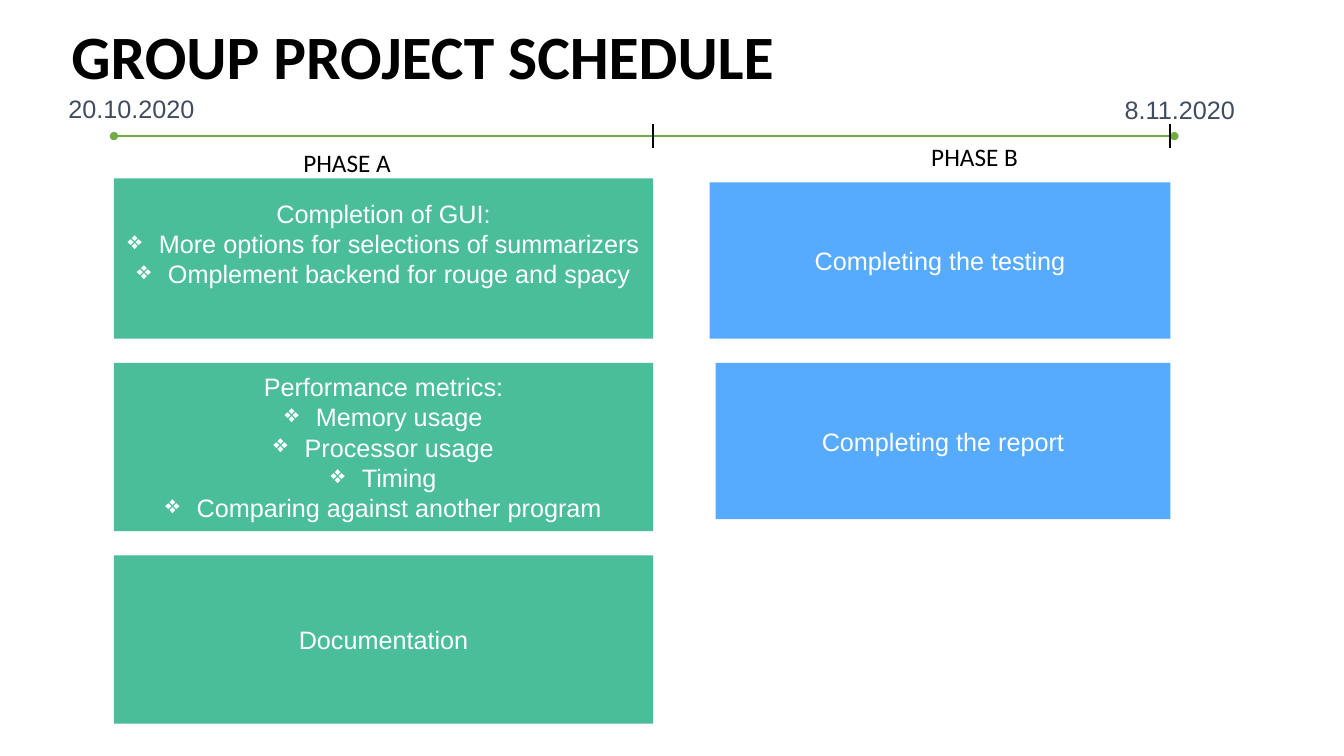
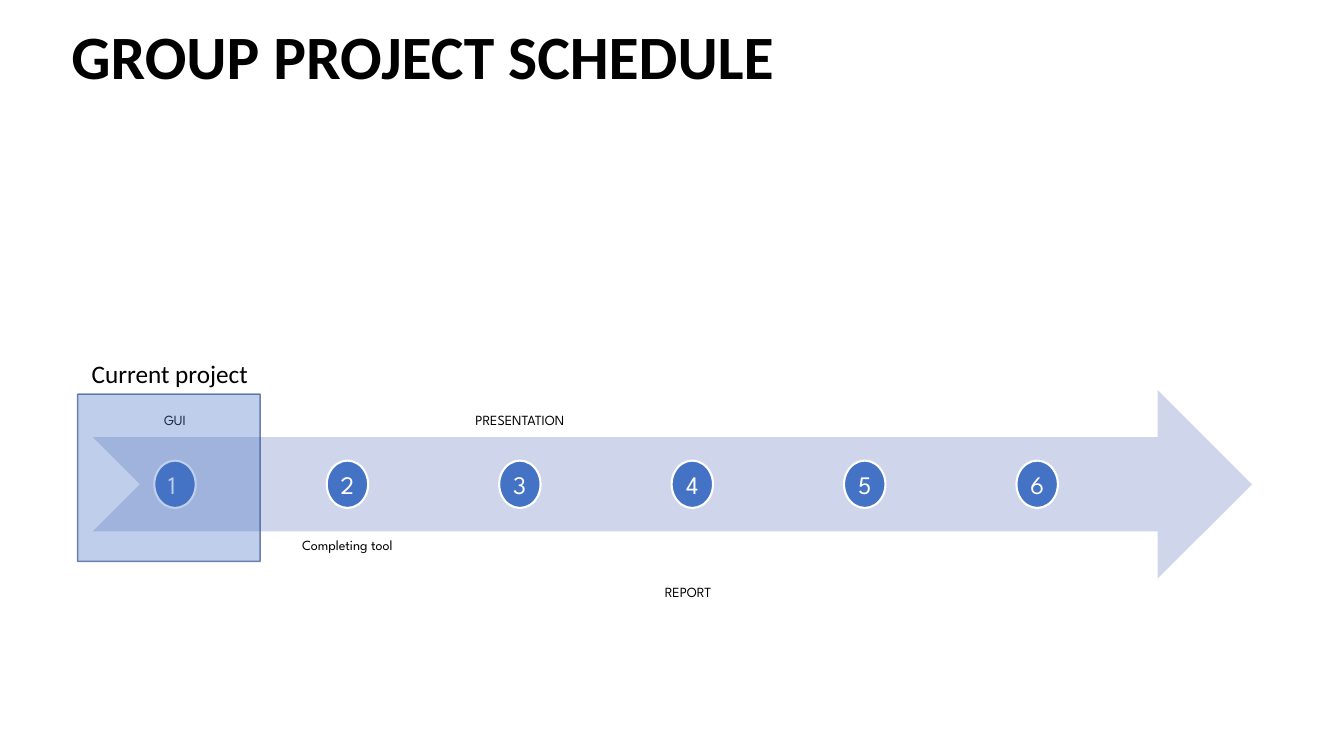
"""Build two project schedule slides: a two-phase timeline and a milestone arrow."""
from lxml import etree
from pptx import Presentation
from pptx.dml.color import RGBColor
from pptx.enum.shapes import MSO_CONNECTOR, MSO_SHAPE
from pptx.enum.text import MSO_ANCHOR, PP_ALIGN
from pptx.oxml.ns import qn
from pptx.util import Emu, Inches, Pt

RECT, OVAL, ARROW = MSO_SHAPE.RECTANGLE, MSO_SHAPE.OVAL, MSO_SHAPE.NOTCHED_RIGHT_ARROW
STRAIGHT = MSO_CONNECTOR.STRAIGHT
TOP, MIDDLE, BOTTOM = MSO_ANCHOR.TOP, MSO_ANCHOR.MIDDLE, MSO_ANCHOR.BOTTOM
LEFT, CENTER = PP_ALIGN.LEFT, PP_ALIGN.CENTER

BLACK = RGBColor(0x00, 0x00, 0x00)
WHITE = RGBColor(0xFF, 0xFF, 0xFF)
SLATE = RGBColor(0x40, 0x4C, 0x5F)
GREEN = RGBColor(0x2B, 0xB2, 0x88)
SKY = RGBColor(0x3A, 0x9D, 0xFF)
OLIVE = RGBColor(0x70, 0xAD, 0x47)
PALE = RGBColor(0xCF, 0xD5, 0xEA)
BLUE = RGBColor(0x44, 0x72, 0xC4)
NAVY = RGBColor(0x32, 0x54, 0x91)

TITLE = {"name": "Calibri", "size": Pt(44), "bold": True}
CAPTION = {"name": "Calibri", "size": Pt(18)}
BODY = {"name": "Arial", "size": Pt(18)}
NUMBER = {"name": "League Spartan", "size": Pt(18)}
LABEL = {"name": "League Spartan", "size": Pt(10)}

prs = Presentation()
prs.slide_width, prs.slide_height = Inches(13.33), Inches(7.5)
COL, ROW = prs.slide_width / 100, prs.slide_height / 100
TEXT_H = 5.33
BULLET = "❖"


def add(s, at, lines=(), font=BODY, color=BLACK, kind=None, fill=None, line=None,
        alphas=(), align=LEFT, spacing=None, frame=None):
    x, y, w, h = at
    area = Emu(int(x * COL)), Emu(int(y * ROW)), Emu(int(w * COL)), Emu(int(h * ROW))
    if kind is None:
        sp = s.shapes.add_textbox(*area)
    else:
        sp = s.shapes.add_shape(kind, *area)
        sp.shadow.inherit = False
        sp.fill.solid()
        sp.fill.fore_color.rgb = fill
        if line:
            sp.line.color.rgb, sp.line.width = line[0], Pt(line[1])
        else:
            sp.line.fill.background()
        for clr, alpha in zip(sp.element.iter(qn("a:srgbClr")), alphas):
            etree.SubElement(clr, qn("a:alpha"), val=str(alpha * 1000))
    tf = sp.text_frame
    for key, value in {"word_wrap": True, **(frame or {})}.items():
        setattr(tf, key, value)
    for i, text in enumerate(lines):
        p = tf.paragraphs[0] if i == 0 else tf.add_paragraph()
        p.alignment, p.line_spacing = align, spacing
        if text.startswith(BULLET):
            pPr = p._p.get_or_add_pPr()
            pPr.set("marL", str(Inches(0.31)))
            pPr.set("indent", str(-Inches(0.31)))
            etree.SubElement(pPr, qn("a:buChar"), char=BULLET)
        r = p.add_run()
        r.text = text.removeprefix(BULLET)
        for key, value in font.items():
            setattr(r.font, key, value)
        r.font.color.rgb = color


def connect(s, x1, y1, x2, y2, color, end=None):
    ends = (x1 * COL, y1 * ROW, x2 * COL, y2 * ROW)
    cx = s.shapes.add_connector(STRAIGHT, *(Emu(int(v)) for v in ends))
    cx.line.color.rgb, cx.line.width = color, Pt(1.5)
    if end:
        ln = cx.line._get_or_add_ln()
        for tag in ("a:headEnd", "a:tailEnd"):
            etree.SubElement(ln, qn(tag), type=end)
    etree.SubElement(cx.element.spPr, qn("a:effectLst"))


slides = [prs.slides.add_slide(prs.slide_layouts[6]) for _ in range(2)]
for s in slides:
    add(s, (4.58, 1.2, 87.53, 13.33), ["GROUP PROJECT SCHEDULE"], TITLE,
        spacing=0.9, frame={"vertical_anchor": MIDDLE})

s = slides[0]
START, SPLIT, END = 8.48, 48.6, 87.08
AXIS, TICK, GAP = 18, 1.6, 3.2
connect(s, START, AXIS, END + 0.3, AXIS, OLIVE, "oval")
for x in (SPLIT, END):
    connect(s, x, AXIS - TICK, x, AXIS + TICK, BLACK)
for date, x, y, w in (("20.10.2020", 4.35, 11.73, 10.95), ("8.11.2020", 82.95, 11.87, 9.83)):
    add(s, (x, y, w, TEXT_H), [date], color=SLATE, frame={"word_wrap": False})
for phase, x, y in (("PHASE A", 21.83, 18.8), ("PHASE B", 68.55, 18)):
    add(s, (x, y, 14.18, TEXT_H), [phase], CAPTION)

phases = [
    (GREEN, SPLIT, 23.6, [
        (START, 21.2, 0.35, ["Completion of GUI:",
                             "❖More options for selections of summarizers",
                             "❖Omplement backend for rouge and spacy"]),
        (START, 22.27, 0.05, ["Performance metrics:", "❖Memory usage", "❖Processor usage",
                              "❖Timing", "❖Comparing against another program"]),
        (START, 22.27, 0.05, ["Documentation"]),
    ]),
    (SKY, END, 24.13, [
        (52.8, 20.67, 0.05, ["Completing the testing"]),
        (53.25, 20.67, 0.05, ["Completing the report"]),
    ]),
]
for fill, right, y, tasks in phases:
    for x, h, inset, lines in tasks:
        add(s, (x, y, right - x, h), lines, color=WHITE, kind=RECT, fill=fill, alphas=[85],
            align=CENTER, frame={"vertical_anchor": MIDDLE, "margin_bottom": Inches(inset)})
        y += h + GAP

s = slides[1]
ARROW_X, ARROW_H, STEP = 6.9, 24.93, 12.83
add(s, (ARROW_X, 51.6, 86.25, ARROW_H), kind=ARROW, fill=PALE)
margins = dict.fromkeys(("margin_left", "margin_top", "margin_right", "margin_bottom"),
                        Inches(0.08))
milestones = [
    ("GUI", ARROW_X, 32.8, BOTTOM),
    ("Completing tool", ARROW_X + STEP, 70.27, TOP),
    ("PRESENTATION", ARROW_X + 2 * STEP, 32.8, BOTTOM),
    ("REPORT", 45.08, 55.47, BOTTOM),
]
for text, x, y, anchor in milestones:
    add(s, (x, y, 12.23, ARROW_H), [text], LABEL, align=CENTER, spacing=0.9,
        frame={"vertical_anchor": anchor, **margins})
for i in range(6):
    x = 11.48 + i * STEP
    add(s, (x, 60.93, 3.08, 6.27), kind=OVAL, fill=BLUE, line=(WHITE, 1.5))
    add(s, (x + 0.3, 61.4, 2.48, TEXT_H), [str(i + 1)], NUMBER, WHITE,
        align=LEFT if i < 3 else CENTER)
add(s, (5.78, 52.13, 13.58, 22.13), kind=RECT, fill=BLUE, line=(NAVY, 1), alphas=[34, 70])
add(s, (6.08, 46.8, 16.2, TEXT_H), ["Current project"], CAPTION)

prs.save("out.pptx")
